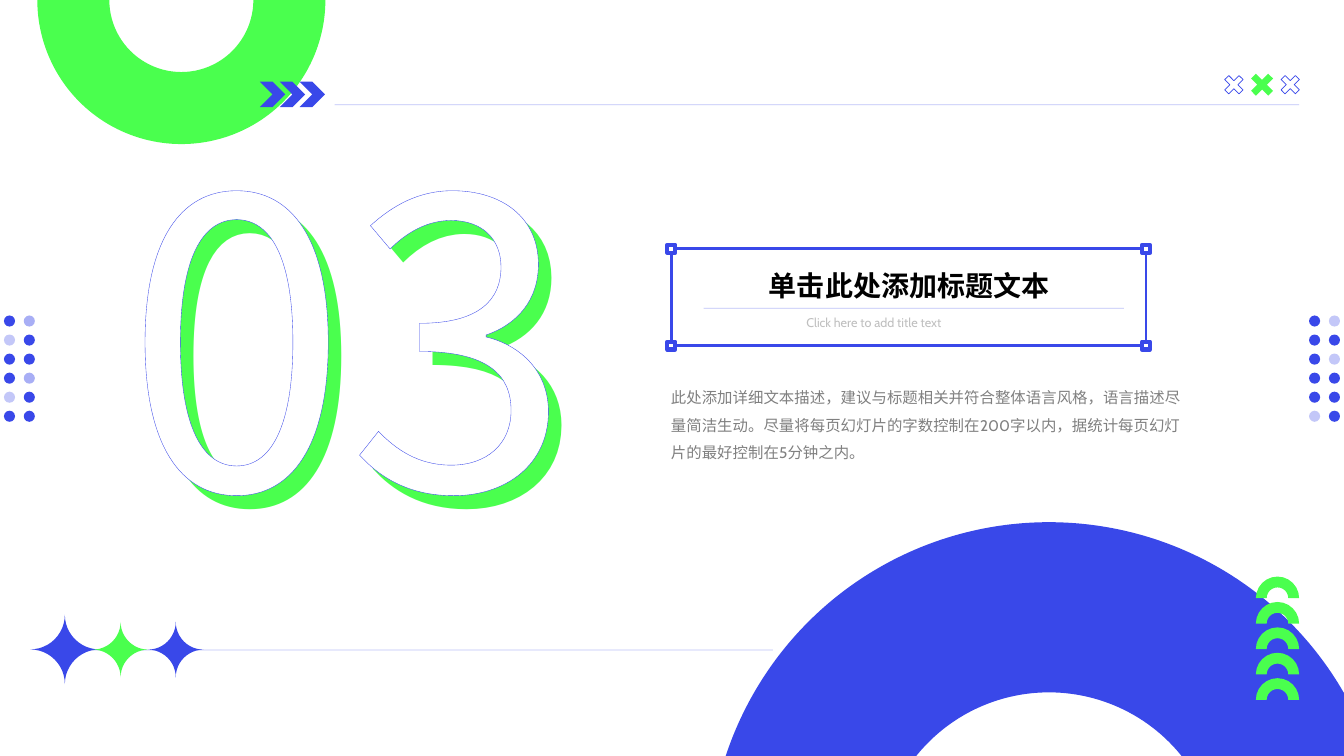
from dataclasses import dataclass, field
from typing import Optional

from lxml import etree
from pptx import Presentation, util as u
from pptx.dml.color import RGBColor
from pptx.enum import shapes, text
from pptx.oxml.ns import qn

BLUE, GREEN, WHITE = "3948E9", "4AFF4E", "FFFFFF"
CJK, LATIN = "Noto Sans CJK SC", "Cabin"
G = shapes.MSO_SHAPE


@dataclass
class Shape:
    kind: int
    x: float
    y: float
    w: float
    h: float
    fill: Optional[str] = None
    alpha: int = 100
    line: Optional[str] = None
    width: float = 0
    rotation: float = 0
    adj: tuple = ()


@dataclass
class Text:
    words: str
    x: float
    y: float
    w: float
    h: float
    size: float
    color: str
    font: str = LATIN
    wrap: bool = True
    outline: Optional[tuple] = None
    run: dict = field(default_factory=dict)
    para: dict = field(default_factory=dict)


def set_color(fmt, value: str, alpha: int = 100) -> None:
    """Make a fill solid, with optional transparency."""
    fmt.solid()
    fmt.fore_color.rgb = RGBColor.from_string(value)
    if alpha < 100:
        clr = fmt._xPr.find(qn("a:solidFill"))[0]
        etree.SubElement(clr, qn("a:alpha"), val=str(alpha * 1000))


def set_attrs(obj, values: dict) -> None:
    for name, value in values.items():
        setattr(obj, name, value)


def add_shape(s, d: Shape) -> None:
    sp = s.shapes.add_shape(d.kind, *map(u.Cm, (d.x, d.y, d.w, d.h)))
    sp.shadow.inherit = False
    sp.rotation = d.rotation
    for i, value in enumerate(d.adj):
        sp.adjustments[i] = value
    if d.fill:
        set_color(sp.fill, d.fill, d.alpha)
    else:
        sp.fill.background()
    if d.line:
        set_color(sp.line.fill, d.line)
        sp.line.width = u.Pt(d.width)
    else:
        sp.line.fill.background()


def add_rule(s, x1: float, x2: float, y: float) -> None:
    c = s.shapes.add_connector(shapes.MSO_CONNECTOR.STRAIGHT,
                               *map(u.Cm, (x1, y, x2, y)))
    set_color(c.line.fill, BLUE, 33)
    c.line.width = u.Pt(0.5)
    etree.SubElement(c._element.spPr, qn("a:effectLst"))


def add_text(s, d: Text) -> None:
    tf = s.shapes.add_textbox(*map(u.Cm, (d.x, d.y, d.w, d.h))).text_frame
    set_attrs(tf, {"word_wrap": d.wrap,
                   "auto_size": text.MSO_AUTO_SIZE.SHAPE_TO_FIT_TEXT})
    p = tf.paragraphs[0]
    set_attrs(p, d.para)
    r = p.add_run()
    r.text = d.words
    set_attrs(r.font, {"size": u.Pt(d.size), "name": d.font, **d.run})
    set_color(r.font.fill, d.color)
    rpr = r.font._element
    rpr.find(qn("a:latin")).addnext(
        etree.Element(qn("a:ea"), typeface=CJK))
    if d.outline:
        color, width = d.outline
        ln = etree.Element(qn("a:ln"), w=str(int(u.Pt(width))))
        fill = etree.SubElement(ln, qn("a:solidFill"))
        etree.SubElement(fill, qn("a:srgbClr"), val=color)
        rpr.insert(0, ln)


def add_dots(s, left: float, faded: dict) -> None:
    """Draw a 6 x 2 block; faded maps (row, column) to opacity."""
    for row in range(6):
        for col in range(2):
            add_shape(s, Shape(G.OVAL, left + 0.5 * col, 7.95 + 0.48 * row,
                               0.28, 0.28, BLUE, faded.get((row, col), 100)))


def add_number(s, x: float, y: float, color: str, outline: tuple) -> None:
    add_text(s, Text("03", x, y, 12.57, 12.52, 287, color, CJK,
                     wrap=False, outline=outline))


def main() -> None:
    prs = Presentation()
    prs.slide_width, prs.slide_height = u.Cm(33.87), u.Cm(19.05)
    s = prs.slides.add_slide(prs.slide_layouts[6])

    # Section number and large arcs
    add_number(s, 3.25, 2.46, GREEN, (GREEN, 1))
    add_shape(s, Shape(G.BLOCK_ARC, 17.86, 13.16, 17.15, 17.15, BLUE,
                       adj=(115.25, 16.9, 0.25)))
    add_shape(s, Shape(G.BLOCK_ARC, 0.94, -3.63, 7.26, 7.26, GREEN,
                       rotation=180))
    add_number(s, 2.9, 2.11, WHITE, (BLUE, 3))

    # Small arcs and chevrons
    for i in range(5):
        add_shape(s, Shape(G.BLOCK_ARC, 31.65, 14.53 + 0.64 * i,
                           1.09, 1.09, GREEN))
    for i in range(3):
        add_shape(s, Shape(G.CHEVRON, 6.55 + 0.5 * i, 2.06,
                           0.64, 0.64, BLUE))

    # Dots at both edges
    add_dots(s, 0.1, {(0, 1): 44, (1, 0): 30, (3, 1): 44, (4, 0): 30})
    add_dots(s, 32.99, {(0, 1): 30, (2, 1): 30, (5, 0): 30})

    # Crosses
    for x, y, size, fill, line in ((30.84, 1.88, 0.51, None, BLUE),
                                   (31.5, 1.83, 0.61, GREEN, None),
                                   (32.26, 1.88, 0.51, None, BLUE)):
        add_shape(s, Shape(G.CROSS, x, y, size, size, fill, line=line,
                           width=0.5, rotation=45, adj=(0.36,)))

    # Rules and stars
    add_rule(s, 8.43, 32.74, 2.64)
    add_rule(s, 1.22, 19.48, 16.38)
    for x, y, size, fill in ((0.76, 15.49, 1.75, BLUE),
                             (3.73, 15.67, 1.4, BLUE),
                             (2.34, 15.67, 1.4, GREEN)):
        add_shape(s, Shape(G.PLAQUE, x, y, size, size, fill, adj=(0.5,)))

    # Title frame with corner handles
    x, y, w, h, handle = 16.92, 6.27, 11.96, 2.44, 0.2
    add_shape(s, Shape(G.RECTANGLE, x, y, w, h, line=BLUE, width=2))
    for cx in (x, x + w):
        for cy in (y, y + h):
            add_shape(s, Shape(G.RECTANGLE, cx - handle / 2, cy - handle / 2,
                               handle, handle, WHITE, line=BLUE, width=3))

    # Title, subtitle and description
    add_text(s, Text("单击此处添加标题文本", 19.13, 6.65, 7.85, 1.12, 20,
                     "000000", run={"bold": True}))
    add_rule(s, 17.73, 28.32, 7.77)
    add_text(s, Text("Click here to add title text", 20.07, 7.82, 5.18, 0.64,
                     9, "BFBFBF",
                     para={"alignment": text.PP_ALIGN.JUSTIFY}))
    add_text(s, Text("此处添加详细文本描述，建议与标题相关并符合整体语言风格，"
                     "语言描述尽量简洁生动。尽量将每页幻灯片的字数控制在200字以内，"
                     "据统计每页幻灯片的最好控制在5分钟之内。",
                     16.66, 9.42, 13.41, 2.31, 11, "808080",
                     para={"line_spacing": 1.5}))
    prs.save("out.pptx")


if __name__ == "__main__":
    main()
